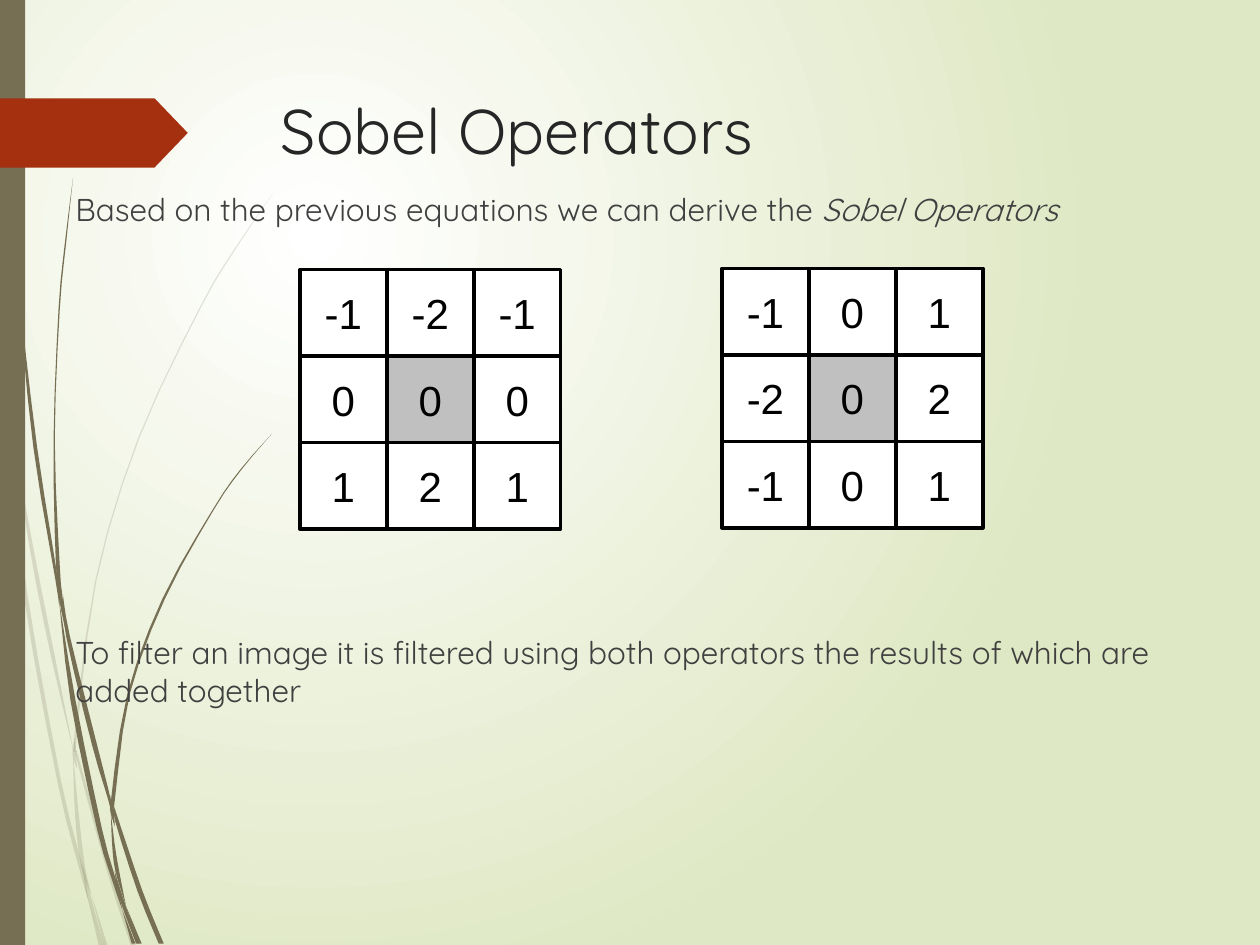
from lxml import etree
from pptx import Presentation
from pptx.dml.color import RGBColor
from pptx.enum import shapes, text
from pptx.oxml.ns import qn
from pptx.util import Inches, Pt

COLORS = {
    "white": "FFFFFF", "pale green": "DFE8C4", "olive": "766F54", "rust": "A53010",
    "title": "262626", "body": "404040", "black": "000000", "centre": "C0C0C0",
}
TITLE = "Sobel Operators"
BODY = [
    [("Based on the previous equations we can derive the ", False), ("Sobel Operators", True)],
    [("To filter an image it is filtered using both operators the results of which are "
      "added together", False)],
]
CELL_WIDTH, CELL_HEIGHT = 0.69, 2.06 / 3
# (left, top, rows of coefficients)
OPERATORS = [
    (2.38, 2.14, [["-1", "-2", "-1"], ["0", "0", "0"], ["1", "2", "1"]]),
    (5.73, 2.13, [["-1", "0", "1"], ["-2", "0", "2"], ["-1", "0", "1"]]),
]
# Each blade of grass is a list of (centre x, y, width)
PALE_BLADES = [
    [(0, 2.82, 0), (0.02, 2.99, 0.03), (0.06, 3.3, 0.02), (0.08, 3.5, 0)],
    [(0.1, 3.45, 0), (0.25, 4.35, 0.03), (0.42, 5.21, 0.03), (0.59, 5.99, 0)],
    [(0.61, 5.96, 0), (0.63, 6.07, 0.02), (0.87, 6.93, 0.03), (1.06, 7.51, 0.04)],
    [(0.73, 7.11, 0), (0.84, 7.51, 0.03)],
    [(0.08, 3.5, 0), (0.2, 4.7, 0.03), (0.47, 6.2, 0.03), (0.64, 6.88, 0.03), (0.7, 7.14, 0)],
    [(0.58, 5.99, 0), (0.61, 6.46, 0.03), (0.66, 6.88, 0.03), (0.73, 7.11, 0)],
    [(2.17, 1.53, 0), (1.87, 1.97, 0.01), (1.59, 2.44, 0.01), (1.1, 3.48, 0.01),
     (0.76, 4.61, 0.01), (0.6, 5.84, 0.02), (0.61, 5.96, 0)],
    [(0.7, 7.14, 0), (0.8, 7.51, 0.03)],
    [(0.59, 5.86, 0), (0.59, 5.99, 0.03), (0.61, 6.1, 0)],
    [(0.65, 6.83, 0), (0.68, 6.99, 0.02), (0.71, 7.13, 0.03), (0.82, 7.51, 0.01)],
]
DARK_BLADES = [
    [(0.03, 0, 0.01), (0.05, 1.1, 0.01), (0.15, 2.33, 0.01), (0.28, 3.55, 0.03),
     (0.45, 4.6, 0.02), (0.47, 4.81, 0)],
    [(0.5, 4.72, 0), (0.54, 5.05, 0.03), (0.75, 5.91, 0.04), (0.87, 6.35, 0.02), (0.88, 6.45, 0)],
    [(0.91, 6.41, 0), (0.93, 6.52, 0.03), (1.11, 7.07, 0.04), (1.28, 7.49, 0.04)],
    [(0.47, 4.77, 0), (0.58, 5.56, 0.04), (0.79, 6.58, 0.04), (0.91, 7, 0.03), (0.97, 7.22, 0)],
    [(0.58, 1.41, 0), (0.52, 1.93, 0.01), (0.47, 2.45, 0.01), (0.43, 3.49, 0.01),
     (0.46, 4.5, 0.03), (0.49, 4.72, 0.01)],
    [(1, 7.19, 0), (1.11, 7.49, 0.03)],
    [(0.45, 4.49, 0), (0.48, 4.73, 0.03), (0.53, 5.05, 0)],
    [(2.16, 3.44, 0), (1.91, 3.73, 0.01), (1.69, 4.05, 0.01), (1.3, 4.75, 0.02),
     (1.02, 5.51, 0.02), (0.9, 6.32, 0.03), (0.91, 6.41, 0)],
    [(0.97, 7.22, 0), (1.06, 7.49, 0.03)],
    [(0.88, 6.45, 0), (0.9, 6.7, 0.02), (0.93, 6.91, 0.03), (1, 7.19, 0)],
    [(0.88, 6.31, 0), (0.89, 6.43, 0.03), (0.91, 6.56, 0)],
    [(0.91, 6.91, 0), (0.96, 7.12, 0.03), (1.09, 7.49, 0.02)],
]


def rgb(name):
    return RGBColor.from_string(COLORS[name])


def paint(shape, color, opacity=100):
    shape.shadow.inherit = False
    shape.fill.solid()
    shape.fill.fore_color.rgb = rgb(color)
    shape.line.fill.background()
    if opacity < 100:
        hue = shape._element.spPr.find(".//" + qn("a:srgbClr"))
        etree.SubElement(hue, qn("a:alpha"), val=str(opacity * 1000))


def style(run, font, size, color, italic=False):
    run.font.name = font
    run.font.size = Pt(size)
    run.font.color.rgb = rgb(color)
    run.font.italic = italic


def smooth(knots, steps=3):
    """Return points on a Catmull-Rom curve through the knots."""
    padded = [knots[0], *knots, knots[-1]]
    points = []
    for a, b, c, d in zip(padded, padded[1:], padded[2:], padded[3:]):
        for t in (step / steps for step in range(steps)):
            points.append([
                (2 * q + t * (r - p) + t * t * (2 * p - 5 * q + 4 * r - s)
                 + t ** 3 * (3 * q - p - 3 * r + s)) / 2
                for p, q, r, s in zip(a, b, c, d)])
    return points + [knots[-1]]


def add_blade(slide, knots, opacity):
    spine = smooth(knots)
    outline = [(Inches(x - w / 2), Inches(y)) for x, y, w in spine]
    outline += [(Inches(x + w / 2), Inches(y)) for x, y, w in reversed(spine)]
    builder = slide.shapes.build_freeform(*outline[0])
    builder.add_line_segments(outline[1:], close=True)
    paint(builder.convert_to_shape(), "olive", opacity)


def add_background(slide):
    fill = slide.background.fill
    fill.gradient()
    for stop, color, position in zip(fill.gradient_stops, ("white", "pale green"), (0, 1)):
        stop.color.rgb = rgb(color)
        stop.position = position
    gradient = slide._element.find(".//" + qn("a:gradFill"))
    gradient.remove(gradient.find(qn("a:lin")))
    circle = etree.SubElement(gradient, qn("a:path"), path="circle")
    etree.SubElement(circle, qn("a:fillToRect"), l="50000", t="50000", r="100000", b="100000")


def add_decoration(slide):
    for blades, opacity in ((PALE_BLADES, 20), (DARK_BLADES, 100)):
        for knots in blades:
            add_blade(slide, knots, opacity)
    bar = slide.shapes.add_shape(shapes.MSO_SHAPE.RECTANGLE, 0, 0, Inches(0.2), Inches(7.5))
    paint(bar, "olive")
    tag = slide.shapes.add_shape(
        shapes.MSO_SHAPE.PENTAGON, 0, Inches(0.78), Inches(1.49), Inches(0.55))
    tag.adjustments[0] = 0.48
    paint(tag, "rust")


def add_words(slide):
    title = slide.shapes.add_textbox(Inches(2.13), Inches(0.68), Inches(7.21), Inches(1.4))
    title.text_frame.word_wrap = True
    title.text_frame.text = TITLE
    style(title.text_frame.paragraphs[0].runs[0], "Quicksand", 36, "title")

    body = slide.shapes.add_textbox(Inches(0.5), Inches(1.46), Inches(9.5), Inches(6.04))
    frame = body.text_frame
    frame.word_wrap = True
    frame.margin_right = Inches(0.2)
    for index, parts in enumerate(BODY):
        paragraph = frame.add_paragraph() if index else frame.paragraphs[0]
        if index:
            paragraph.space_before = Pt(231.5)  # leaves room for the operators
        for words, italic in parts:
            run = paragraph.add_run()
            run.text = words
            style(run, "Quicksand", 18, "body", italic)


def add_operator(slide, left, top, rows):
    grid = slide.shapes.add_group_shape()
    for i, row in enumerate(rows):
        for j, coefficient in enumerate(row):
            cell = grid.shapes.add_shape(
                shapes.MSO_SHAPE.RECTANGLE,
                Inches(left + j * CELL_WIDTH), Inches(top + i * CELL_HEIGHT),
                Inches(CELL_WIDTH), Inches(CELL_HEIGHT))
            paint(cell, "centre" if i == j == 1 else "white")
            cell.line.color.rgb = rgb("black")
            cell.line.width = Pt(2)
            frame = cell.text_frame
            frame.word_wrap = False
            frame.vertical_anchor = text.MSO_ANCHOR.MIDDLE
            frame.text = coefficient
            frame.paragraphs[0].alignment = text.PP_ALIGN.CENTER
            style(frame.paragraphs[0].runs[0], "Arial", 24, "black")


def main():
    deck = Presentation()
    deck.slide_width, deck.slide_height = Inches(10), Inches(7.5)
    slide = deck.slides.add_slide(deck.slide_layouts[6])
    add_background(slide)
    add_decoration(slide)
    add_words(slide)
    for operator in OPERATORS:
        add_operator(slide, *operator)
    deck.save("out.pptx")


if __name__ == "__main__":
    main()
